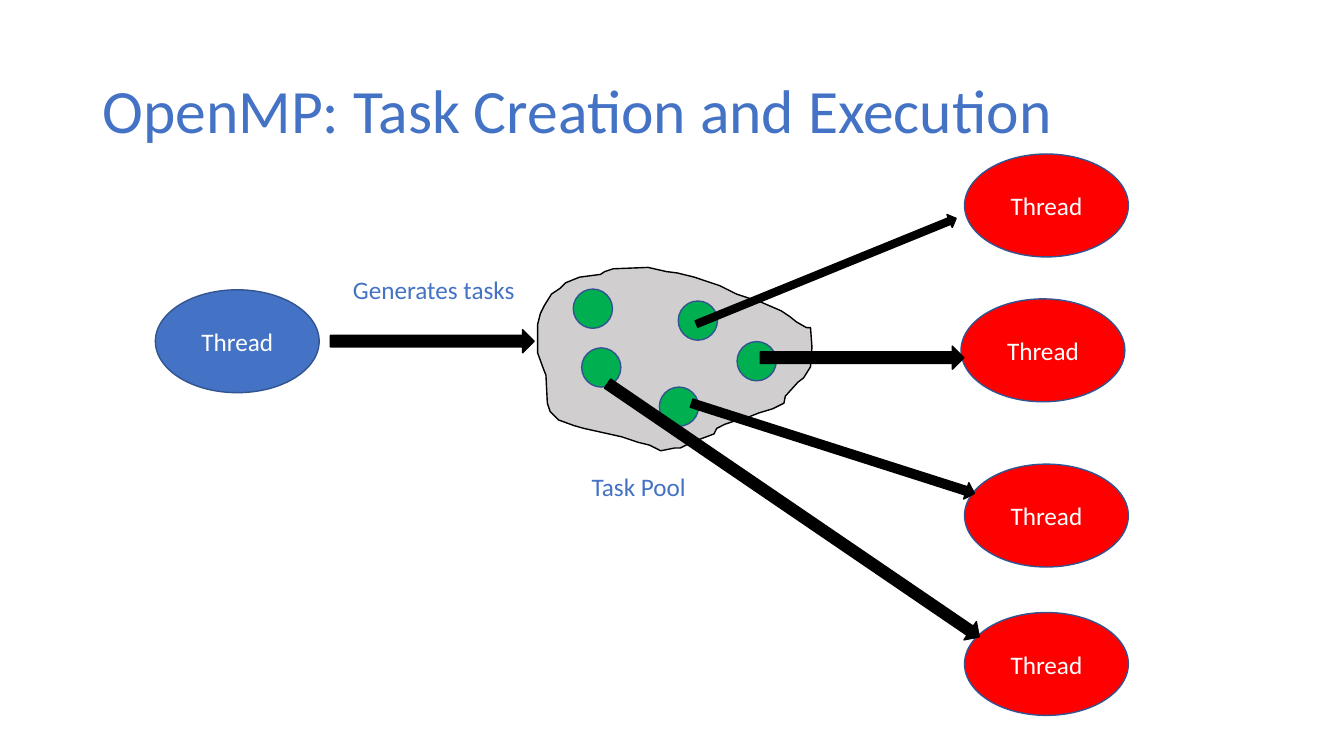
from dataclasses import dataclass
from math import atan2, degrees, hypot

from pptx import Presentation
from pptx.dml.color import RGBColor as RGB
from pptx.enum.shapes import MSO_SHAPE as SHAPE
from pptx.enum.text import MSO_ANCHOR as ANCHOR, MSO_AUTO_SIZE as AUTO, PP_ALIGN as ALIGN
from pptx.util import Pt


@dataclass(frozen=True)
class Theme:
    font: str = "Calibri"
    title_size: int = 44
    label_size: int = 18
    blue: RGB = RGB(0x44, 0x72, 0xC4)
    outline: RGB = RGB(0x32, 0x54, 0x91)
    red: RGB = RGB(0xFF, 0x00, 0x00)
    green: RGB = RGB(0x00, 0xB0, 0x50)
    gray: RGB = RGB(0xD0, 0xCE, 0xCE)
    black: RGB = RGB(0x00, 0x00, 0x00)
    white: RGB = RGB(0xFF, 0xFF, 0xFF)


THEME = Theme()
THREAD_W, THREAD_H = 117, 73.5
TASK_SIZE = 28

POOL_OUTLINE = [
    (429, 196.5), (414, 198), (404, 201.5), (399.5, 206.5), (394, 210),
    (389, 218), (386, 224), (383.5, 232.5), (384.5, 251.5), (387.5, 263),
    (389.5, 268.5), (391, 288), (393, 294.5), (399, 300), (410.5, 304),
    (417, 306.5), (443.5, 312), (456.5, 315.5), (464.5, 318), (472.5, 322),
    (482.5, 320.5), (486.5, 319.5), (494, 315.5), (510, 310.5), (512.5, 306.5),
    (518.5, 303), (523.5, 301), (531.5, 299), (541.5, 295), (551.5, 291.5),
    (560, 288), (561, 283), (569.5, 273), (574.5, 269.5), (579, 262),
    (580.5, 248), (579, 234.5), (576, 233.5), (569, 229.5), (564, 226),
    (558.5, 222.5), (544.5, 216.5), (526.5, 210), (513.5, 204.5), (507.5, 202.5),
    (495.5, 198), (484, 195), (476.5, 193.5), (463, 191), (438, 191.5), (432, 193.5),
]
TASKS = [(409.5, 206.5), (484.5, 215), (415.5, 248.5), (471, 276.5), (526.5, 244)]
WORKERS = [(689, 110), (686.5, 213.5), (689, 331.5), (689, 437.5)]
PICKUPS = [
    ((497.5, 231.5), (683, 156), 10),
    ((543, 255.5), (688.5, 255.5), 16.5),
    ((494, 288), (696, 352.5), 12.25),
    ((434, 274), (699.5, 455), 15.75),
]


def style(sp, fill, line):
    sp.shadow.inherit = False
    sp.fill.solid()
    sp.fill.fore_color.rgb = fill
    sp.line.color.rgb = line
    sp.line.width = Pt(1)


def write(tf, text, size, color, align=ALIGN.LEFT):
    p = tf.paragraphs[0]
    p.alignment = align
    r = p.add_run()
    r.text = text
    r.font.name = THEME.font
    r.font.size = Pt(size)
    r.font.color.rgb = color
    return p


def add_title(s, text):
    sp = s.shapes.title
    sp.left, sp.top, sp.width, sp.height = Pt(66), Pt(29), Pt(828), Pt(104.5)
    tf = sp.text_frame
    tf.auto_size = AUTO.NONE
    tf.vertical_anchor = ANCHOR.MIDDLE
    write(tf, text, THEME.title_size, THEME.blue).line_spacing = 0.9


def add_label(s, text, x, y, w):
    tf = s.shapes.add_textbox(Pt(x), Pt(y), Pt(w), Pt(29)).text_frame
    tf.word_wrap = False
    tf.auto_size = AUTO.SHAPE_TO_FIT_TEXT
    write(tf, text, THEME.label_size, THEME.blue)


def add_thread(s, x, y, fill):
    sp = s.shapes.add_shape(SHAPE.OVAL, Pt(x), Pt(y), Pt(THREAD_W), Pt(THREAD_H))
    style(sp, fill, THEME.outline)
    sp.text_frame.vertical_anchor = ANCHOR.MIDDLE
    write(sp.text_frame, "Thread", THEME.label_size, THEME.white, ALIGN.CENTER)


def add_task(s, x, y):
    sp = s.shapes.add_shape(SHAPE.FLOWCHART_CONNECTOR, Pt(x), Pt(y), Pt(TASK_SIZE), Pt(TASK_SIZE))
    style(sp, THEME.green, THEME.outline)


def add_arrow(s, tail, tip, thickness):
    dx, dy = tip[0] - tail[0], tip[1] - tail[1]
    length = hypot(dx, dy)
    x = (tail[0] + tip[0] - length) / 2
    y = (tail[1] + tip[1] - thickness) / 2
    sp = s.shapes.add_shape(SHAPE.RIGHT_ARROW, Pt(x), Pt(y), Pt(length), Pt(thickness))
    sp.rotation = degrees(atan2(dy, dx))
    style(sp, THEME.black, THEME.black)


def add_pool(s, outline):
    fb = s.shapes.build_freeform(*outline[0], scale=Pt(1))
    fb.add_line_segments(outline[1:], close=True)
    style(fb.convert_to_shape(), THEME.gray, THEME.black)


def main():
    prs = Presentation()
    prs.slide_width, prs.slide_height = Pt(960), Pt(540)
    s = prs.slides.add_slide(prs.slide_layouts[5])

    add_title(s, "OpenMP: Task Creation and Execution")
    add_thread(s, 111, 207, THEME.blue)
    add_arrow(s, (236, 243.75), (381.5, 243.75), 16.5)
    add_label(s, "Generates tasks", 245, 192.5, 131)
    add_pool(s, POOL_OUTLINE)
    for x, y in TASKS:
        add_task(s, x, y)
    add_label(s, "Task Pool", 415.5, 333, 82)
    for x, y in WORKERS:
        add_thread(s, x, y, THEME.red)
    for tail, tip, thickness in PICKUPS:
        add_arrow(s, tail, tip, thickness)

    prs.save("out.pptx")


if __name__ == "__main__":
    main()
